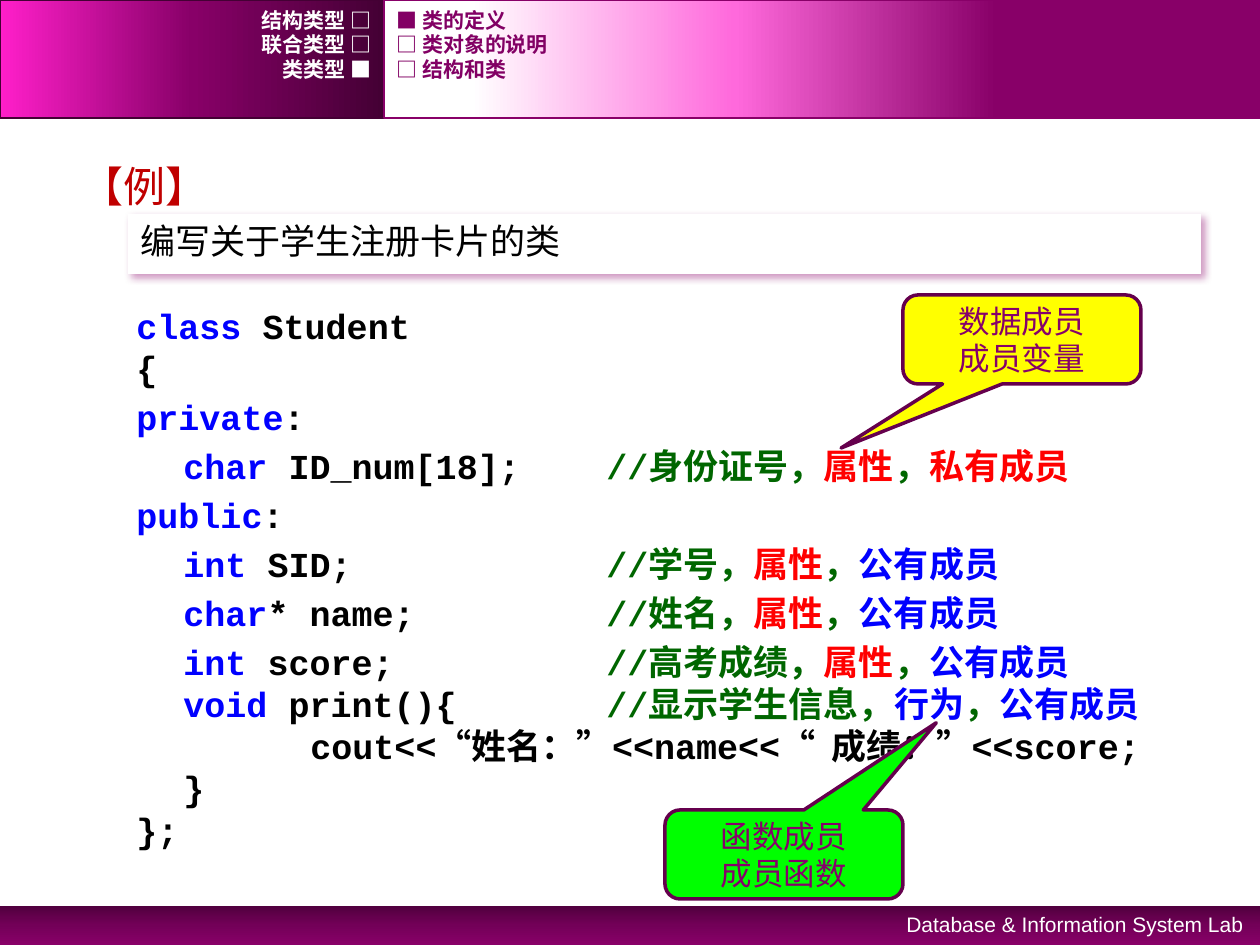
from dataclasses import dataclass

from lxml.etree import SubElement
from pptx import Presentation
from pptx.dml.color import RGBColor
from pptx.enum.shapes import MSO_SHAPE as Preset
from pptx.enum.text import MSO_ANCHOR as Anchor, PP_ALIGN as Align
from pptx.oxml.ns import qn
from pptx.util import Pt

EMU_PER_PX = 914400 / 126

COLORS = {
    "white": "FFFFFF", "black": "000000", "yellow": "FFFF00", "lime": "00FF00",
    "keyword": "0000FF", "comment": "006600", "attribute": "FF0000",
    "heading": "C00000", "purple": "880068", "outline": "65004D",
    "callout": "86006A", "topic": "820064", "darkest": "440034",
    "footer_top": "51003E", "footer_middle": "730058",
    "pink": "FF1FCA", "light_pink": "FF69DC",
}


@dataclass(frozen=True)
class Box:
    left: int
    top: int
    width: int
    height: int


@dataclass(frozen=True)
class Band:
    box: Box
    stops: tuple
    angle: int
    line: str | None = None


@dataclass(frozen=True)
class Callout:
    box: Box
    fill: str
    tip: tuple
    lines: tuple


@dataclass(frozen=True)
class CodeLine:
    runs: tuple
    spaced: bool = False


BANDS = (
    Band(Box(0, 906, 1260, 39),
         ((0, "footer_top"), (50, "footer_middle"), (100, "purple")), 90),
    Band(Box(0, 0, 384, 118),
         ((0, "darkest"), (50, "purple"), (100, "pink")), 180, "darkest"),
    Band(Box(384, 0, 876, 118),
         ((30, "purple"), (60, "light_pink"), (90, "white")), 180, "purple"),
)

CALLOUTS = (
    Callout(Box(903, 295, 238, 89), "yellow", (-0.76, 1.22, 0.17), ("数据成员", "成员变量")),
    Callout(Box(665, 810, 238, 89), "lime", (0.64, -1.48, 0.17), ("函数成员", "成员函数")),
)

CHAPTERS = ("结构类型 □", "联合类型 □", "类类型 ■")
TOPICS = ("■ 类的定义", "□ 类对象的说明", "□ 结构和类")

CODE_TABS = (47, 174, 470)


def member(keyword: str, rest: str, note: str, role: str, access: str,
           access_color: str = "keyword", role_color: str = "attribute",
           spaced: bool = True) -> CodeLine:
    """A class member followed by its comment in the right-hand column."""
    return CodeLine((
        ("\t" + keyword, "keyword"), (rest + "\t", "black"),
        (f"//{note}，", "comment"), (role, role_color),
        ("，", "comment"), (access, access_color)), spaced)


def section(name: str) -> CodeLine:
    return CodeLine(((name, "keyword"), (":", "black")), True)


def plain(text: str) -> CodeLine:
    return CodeLine(((text, "black"),))


CODE = (
    CodeLine((("class ", "keyword"), ("Student", "black"))),
    plain("{"),
    section("private"),
    member("char ", "ID_num[18];", "身份证号", "属性", "私有成员", "attribute"),
    section("public"),
    member("int", " SID;", "学号", "属性", "公有成员"),
    member("char", "* name;", "姓名", "属性", "公有成员"),
    member("int", " score;", "高考成绩", "属性", "公有成员"),
    member("void", " print(){", "显示学生信息", "行为", "公有成员",
           role_color="keyword", spaced=False),
    plain("\t\tcout<<“姓名：”<<name<<“  成绩：”<<score;"),
    plain("\t}"),
    plain("};"),
)


def px(length: float) -> int:
    return round(length * EMU_PER_PX)


def rgb(name: str) -> RGBColor:
    return RGBColor.from_string(COLORS[name])


def place(box: Box) -> tuple:
    return px(box.left), px(box.top), px(box.width), px(box.height)


def add_text_box(slide, box: Box, wrap: bool = True):
    shape = slide.shapes.add_textbox(*place(box))
    shape.text_frame.word_wrap = wrap
    return shape


def write_text(shape, lines, *, size: int, color: str = "black", font: str = "Arial",
               bold: bool = False, align=Align.LEFT, anchor=Anchor.TOP,
               inset: int = 6, line_points: int | None = None, tabs=()) -> None:
    """Fill a shape with lines, each a string or a CodeLine."""
    frame = shape.text_frame
    frame.vertical_anchor = anchor
    frame.margin_top = frame.margin_bottom = px(inset)
    for index, line in enumerate(lines):
        if isinstance(line, str):
            line = CodeLine(((line, color),))
        paragraph = frame.paragraphs[0] if index == 0 else frame.add_paragraph()
        paragraph.alignment = align
        if line_points:
            paragraph.line_spacing = Pt(line_points)
        if line.spaced:
            paragraph.space_before = Pt(size * 0.2)
        if tabs:
            tab_list = SubElement(paragraph._p.get_or_add_pPr(), qn("a:tabLst"))
            for position in tabs:
                SubElement(tab_list, qn("a:tab"), pos=str(px(position)), algn="l")
        for text, run_color in line.runs:
            run = paragraph.add_run()
            run.text = text
            run.font.name, run.font.size, run.font.bold = font, Pt(size), bold
            run.font.color.rgb = rgb(run_color)


def add_panel(slide, preset, box: Box, fill: str | None = None,
              line: str | None = None, line_width: int = 1):
    shape = slide.shapes.add_shape(preset, *place(box))
    shape.shadow.inherit = False
    if fill:
        shape.fill.solid()
        shape.fill.fore_color.rgb = rgb(fill)
    if line:
        shape.line.color.rgb = rgb(line)
        shape.line.width = Pt(line_width)
    else:
        shape.line.fill.background()
    return shape


def add_band(slide, band: Band) -> None:
    shape = add_panel(slide, Preset.RECTANGLE, band.box, line=band.line)
    shape.fill.gradient()
    gradient = shape._element.spPr.find(qn("a:gradFill"))
    stop_list = gradient.find(qn("a:gsLst"))
    for stop in list(stop_list):
        stop_list.remove(stop)
    for position, color in band.stops:
        stop = SubElement(stop_list, qn("a:gs"), pos=str(position * 1000))
        SubElement(stop, qn("a:srgbClr"), val=COLORS[color])
    gradient.find(qn("a:lin")).set("ang", str(band.angle * 60000))


def add_soft_shadow(shape) -> None:
    effects = shape._element.spPr.find(qn("a:effectLst"))
    shadow = SubElement(effects, qn("a:outerShdw"), blurRad=str(Pt(4)), dist=str(Pt(3)),
                        dir=str(45 * 60000), algn="tl", rotWithShape="0")
    color = SubElement(shadow, qn("a:srgbClr"), val=COLORS["purple"])
    SubElement(color, qn("a:alpha"), val="40000")


def add_callout(slide, callout: Callout) -> None:
    shape = add_panel(slide, Preset.ROUNDED_RECTANGULAR_CALLOUT, callout.box,
                      callout.fill, "outline", 2)
    for index, value in enumerate(callout.tip):
        shape.adjustments[index] = value
    write_text(shape, callout.lines, size=18, color="callout",
               align=Align.CENTER, anchor=Anchor.MIDDLE)


def add_menu(slide, items, left: int, width: int, color: str, align) -> None:
    for row, item in enumerate(items):
        shape = add_text_box(slide, Box(left, 8 + round(row * 24.5), width, 25))
        write_text(shape, [item], size=12, color=color, font="Courier New", bold=True,
                   align=align, anchor=Anchor.MIDDLE, inset=0)


def main() -> None:
    presentation = Presentation()
    presentation.slide_width, presentation.slide_height = px(1260), px(945)
    slide = presentation.slides.add_slide(presentation.slide_layouts[6])

    for band in BANDS:
        add_band(slide, band)
    write_text(add_text_box(slide, Box(809, 906, 447, 38)),
               ["Database & Information System Lab"],
               size=12, color="white", align=Align.RIGHT)

    write_text(add_text_box(slide, Box(124, 294, 1091, 592)), CODE, size=20,
               font="Courier New", bold=True, inset=10, line_points=24, tabs=CODE_TABS)

    task = add_panel(slide, Preset.RECTANGLE, Box(128, 214, 1073, 60), "white")
    add_soft_shadow(task)
    write_text(task, ["编写关于学生注册卡片的类"], size=20)
    write_text(add_text_box(slide, Box(69, 155, 152, 63), wrap=False),
               ["【例】"], size=24, color="heading")

    for callout in CALLOUTS:
        add_callout(slide, callout)
    add_menu(slide, CHAPTERS, 0, 384, "white", Align.RIGHT)
    add_menu(slide, TOPICS, 384, 759, "topic", Align.LEFT)

    presentation.save("out.pptx")


if __name__ == "__main__":
    main()
